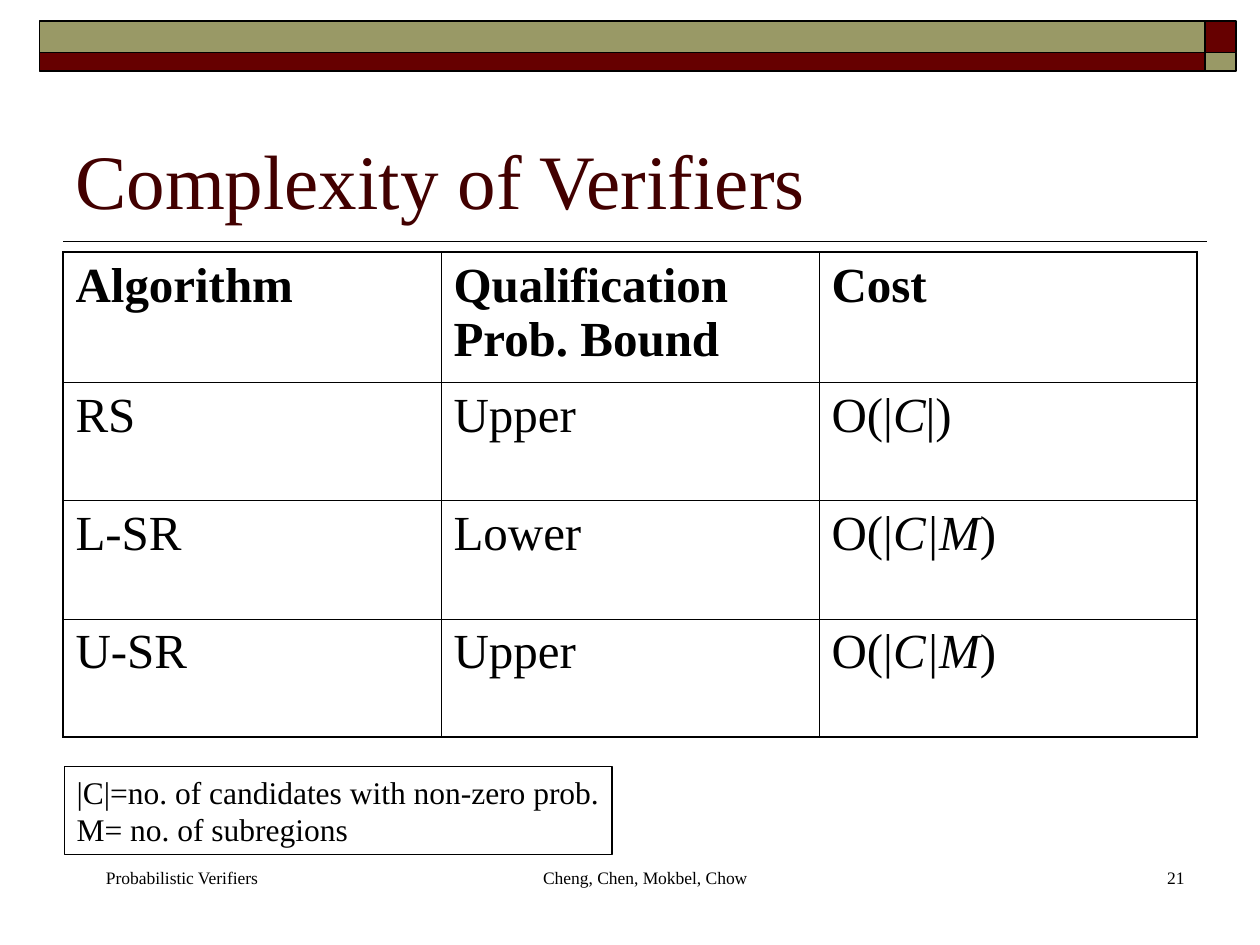
from dataclasses import dataclass

import pptx
import pptx.dml.color
import pptx.enum.shapes
import pptx.enum.text
import pptx.oxml
import pptx.oxml.ns
import pptx.util

Pt = pptx.util.Pt
Align = pptx.enum.text.PP_ALIGN
Anchor = pptx.enum.text.MSO_ANCHOR

FONT = "Times New Roman"
BLACK, MAROON, OLIVE, TITLE_COLOR = "000000", "660000", "999966", "420000"
OUTER_BORDER, INNER_BORDER = 1.08, 0.45


@dataclass
class Bar:
    left: float
    top: float
    width: float
    height: float
    color: str


@dataclass
class Label:
    lines: list[str]
    left: float
    top: float
    width: float
    height: float
    size: float
    color: str = BLACK
    align: Align = Align.LEFT
    anchor: Anchor = Anchor.TOP
    margin_left: float = 7.2
    wrap: bool = True
    boxed: bool = False


def rgb(color: str) -> pptx.dml.color.RGBColor:
    return pptx.dml.color.RGBColor.from_string(color)


def set_font(font, size: float, color: str = BLACK, bold: bool = False) -> None:
    font.name, font.size, font.bold = FONT, Pt(size), bold
    font.color.rgb = rgb(color)


def set_outline(line, width: float) -> None:
    line.color.rgb = rgb(BLACK)
    line.width = Pt(width)


def draw_bar(slide, bar: Bar) -> None:
    shape = slide.shapes.add_shape(
        pptx.enum.shapes.MSO_SHAPE.RECTANGLE,
        Pt(bar.left), Pt(bar.top), Pt(bar.width), Pt(bar.height))
    shape.shadow.inherit = False
    shape.fill.solid()
    shape.fill.fore_color.rgb = rgb(bar.color)
    set_outline(shape.line, 1)


def draw_rule(slide, left: float, right: float, y: float) -> None:
    connector = slide.shapes.add_connector(
        pptx.enum.shapes.MSO_CONNECTOR.STRAIGHT, Pt(left), Pt(y), Pt(right), Pt(y))
    set_outline(connector.line, 1)
    effects = pptx.oxml.ns.qn("a:effectLst")
    connector.line._get_or_add_ln().getparent().append(
        connector._element.makeelement(effects, {}))


def draw_label(slide, label: Label) -> None:
    shape = slide.shapes.add_textbox(
        Pt(label.left), Pt(label.top), Pt(label.width), Pt(label.height))
    if label.boxed:
        set_outline(shape.line, 0.75)
    frame = shape.text_frame
    frame.word_wrap = label.wrap
    frame.vertical_anchor = label.anchor
    frame.margin_left = Pt(label.margin_left)
    frame.text = "\n".join(label.lines)
    for paragraph in frame.paragraphs:
        paragraph.alignment = label.align
        set_font(paragraph.font, label.size, label.color)


def set_border(cell, side: str, width: float) -> None:
    border = pptx.oxml.parse_xml(
        f'<a:ln{side} {pptx.oxml.ns.nsdecls("a")} w="{int(Pt(width))}">'
        f'<a:solidFill><a:srgbClr val="{BLACK}"/></a:solidFill></a:ln{side}>')
    cell._tc.get_or_add_tcPr().append(border)


def fill_cell(cell, text: str, bold: bool) -> None:
    """Write the text; parts between asterisks are italic."""
    paragraph = cell.text_frame.paragraphs[0]
    set_font(paragraph.font, 28, bold=bold)
    for index, part in enumerate(text.split("*")):
        run = paragraph.add_run()
        run.text = part
        if index % 2:
            run.font.italic = True


def draw_table(slide, rows: list[list[str]], left: float, top: float,
               column_width: float, row_heights: list[float]) -> None:
    last_row, last_column = len(rows) - 1, len(rows[0]) - 1
    table = slide.shapes.add_table(
        len(rows), len(rows[0]), Pt(left), Pt(top),
        Pt(column_width * len(rows[0])), Pt(sum(row_heights))).table
    table.first_row = table.horz_banding = False
    for column in table.columns:
        column.width = Pt(column_width)
    for r, row in enumerate(rows):
        table.rows[r].height = Pt(row_heights[r])
        for c, text in enumerate(row):
            cell = table.cell(r, c)
            fill_cell(cell, text, bold=r == 0)
            is_outer = {"L": c == 0, "R": c == last_column,
                        "T": r == 0, "B": r == last_row}
            for side, outer in is_outer.items():
                set_border(cell, side, OUTER_BORDER if outer else INNER_BORDER)
            cell.fill.background()


def main() -> None:
    presentation = pptx.Presentation()
    presentation.slide_width, presentation.slide_height = Pt(720), Pt(540)
    slide = presentation.slides.add_slide(presentation.slide_layouts[6])

    # Header band and rule under the title
    draw_rule(slide, 36, 690, 138)
    for bar in (Bar(688.5, 12, 18, 18, MAROON), Bar(22.5, 12, 666, 18, OLIVE),
                Bar(22.5, 30, 666, 10.8, MAROON), Bar(688.5, 30, 18, 10.8, OLIVE)):
        draw_bar(slide, bar)

    # Title
    draw_label(slide, Label(["Complexity of Verifiers"], 36, 42, 648, 90, 44,
                            color=TITLE_COLOR, anchor=Anchor.BOTTOM))

    # Verifier comparison
    draw_table(slide, [
        ["Algorithm", "Qualification Prob. Bound", "Cost"],
        ["RS", "Upper", "O(|*C*|)"],
        ["L-SR", "Lower", "O(|*C|M*)"],
        ["U-SR", "Upper", "O(|*C|M*)"],
    ], 36, 144, 216, [74.7, 67.5, 67.5, 67.5])

    # Legend and footer
    footer_top, footer_height, footer_margin = 492, 36, 24.5
    for label in (
        Label(["|C|=no. of candidates with non-zero prob.", "M= no. of subregions"],
              36.7, 438, 313, 50.4, 18, wrap=False, boxed=True),
        Label(["Cheng, Chen, Mokbel, Chow"], 246, footer_top, 228, footer_height, 10,
              align=Align.CENTER, margin_left=footer_margin),
        Label(["21"], 534, footer_top, 150, footer_height, 10,
              align=Align.RIGHT, margin_left=footer_margin),
        Label(["Probabilistic Verifiers"], 36, footer_top, 132, footer_height, 10,
              margin_left=footer_margin),
    ):
        draw_label(slide, label)

    presentation.save("out.pptx")


if __name__ == "__main__":
    main()
